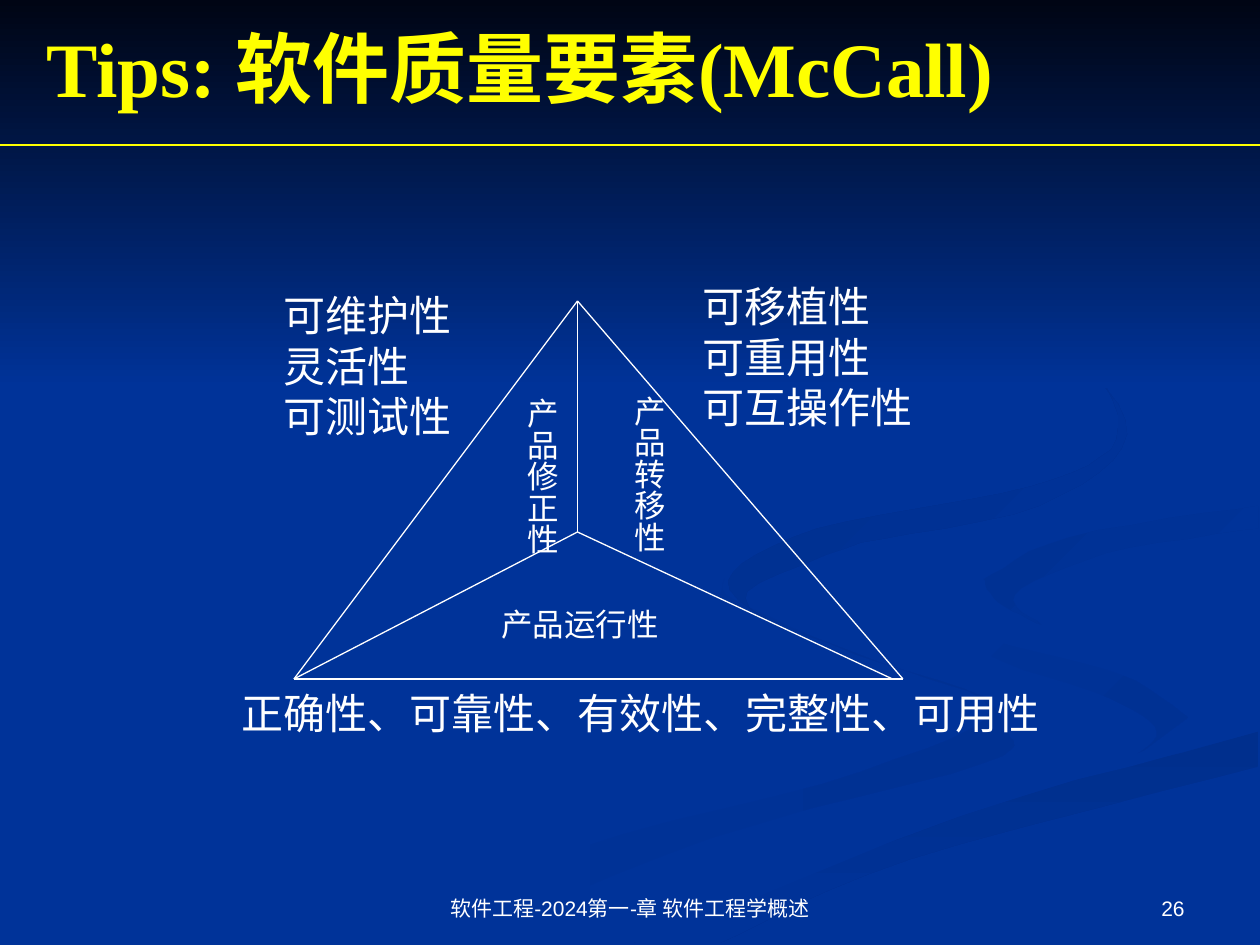
from lxml import etree
from pptx import Presentation
from pptx.dml.color import RGBColor
from pptx.enum.shapes import MSO_CONNECTOR, MSO_SHAPE
from pptx.enum.text import MSO_ANCHOR, PP_ALIGN
from pptx.oxml.ns import qn
from pptx.util import Pt

WIDTH, HEIGHT = 720, 540

THEME = {
    "blue": "003399", "night": "000514", "title": "FFFF00", "text": "FFFFFF",
    "shade": "003193", "deep": "002F8D",
    "title_font": "Times New Roman", "body_font": "Cabin", "footer_font": "Arial",
    "title_size": 44, "factor_size": 24, "side_size": 18, "footer_size": 12,
    "line": 0.75,
}

TITLE = "Tips: 软件质量要素(McCall)"
FOOTER = "软件工程-2024第一-章 软件工程学概述"
PAGE = "26"

# Triangle corners and the edges between them
APEX, CENTRE, LEFT, RIGHT, INNER_RIGHT = (330, 172), (330, 304), (168, 388), (516, 388), (510, 388)
EDGES = [(APEX, LEFT), (LEFT, RIGHT), (APEX, RIGHT),
         (APEX, CENTRE), (CENTRE, LEFT), (CENTRE, INNER_RIGHT)]

# Text, box (left, top, width, height), vertical
SIDES = [
    ("产品运行性", (279.4, 342, 104.4, 28.8), False),
    ("产品转移性", (349.2, 218.9, 36, 97.2), True),
    ("产品修正性", (288, 220.3, 36, 97.2), True),
]
FACTORS = [
    (["可维护性", "灵活性", "可测试性"], (154.8, 162, 110.2, 93.6)),
    (["可移植性", "可重用性", "可互操作性"], (394.6, 157, 134.6, 93.6)),
    (["正确性、可靠性、有效性、完整性、可用性"], (131, 389.5, 470.2, 36)),
]

# Background ribbons: first colour, last colour, clockwise angle, smooth edges
RIBBONS = [
    ("blue", "shade", 0, [
        [(562, 398), (491, 374), (420, 343), (414, 330)],
        [(411, 343), (489, 374), (566, 405), (492, 441), (330, 485), (216, 539)],
        [(260, 539), (406, 479), (562, 436), (576, 418), (562, 398)]]),
    ("blue", "shade", 45, [
        [(679, 410), (639, 385), (557, 362), (521, 334)],
        [(521, 334), (562, 373), (634, 399), (661, 418), (644, 436)]]),
    ("deep", "blue", 90, [
        [(411, 539), (520, 491), (719, 438)],
        [(719, 418), (550, 466), (362, 539)]]),
    ("blue", "blue", 0, [
        [(522, 334), (546, 359), (652, 389), (679, 410), (626, 440), (477, 481), (343, 539)],
        [(374, 538), (550, 466), (719, 418)],
        [(719, 387), (611, 362), (563, 333), (612, 307), (719, 289)],
        [(719, 279), (582, 300), (522, 334)]]),
    ("shade", "blue", 45, [
        [(562, 331), (570, 344), (595, 357)],
        [(595, 357), (580, 340), (632, 316), (719, 302)],
        [(719, 289), (611, 307), (562, 331)]]),
    ("deep", "blue", 45, [
        [(492, 310), (594, 289), (644, 248), (607, 198), (549, 168)],
        [(549, 168), (620, 206), (638, 251), (589, 278), (467, 302), (416, 332), (448, 360)],
        [(448, 360), (427, 338), (492, 310)]]),
]


def rgb(name):
    return RGBColor.from_string(THEME[name])


def smooth(edge, steps=6):
    """Return points on a Catmull-Rom curve through the points of an edge."""
    ends = [edge[0], *edge, edge[-1]]
    curve = [edge[0]]
    for knots in zip(ends, ends[1:], ends[2:], ends[3:]):
        for step in range(1, steps + 1):
            t = step / steps
            curve.append(tuple(
                b + t * (c - a) / 2 + t ** 2 * (2 * a - 5 * b + 4 * c - d) / 2
                + t ** 3 * (3 * b - a - 3 * c + d) / 2
                for a, b, c, d in zip(*knots)))
    return curve


def paint(sp, first, last, angle):
    """Fill a shape with one colour, or a gradient at a clockwise angle."""
    sp.shadow.inherit = False
    sp.line.fill.background()
    if first == last:
        sp.fill.solid()
        sp.fill.fore_color.rgb = rgb(first)
        return
    sp.fill.gradient()
    sp.fill.gradient_angle = (360 - angle) % 360
    for stop, color in zip(sp.fill.gradient_stops, (first, last)):
        stop.color.rgb = rgb(color)


def add_ribbon(s, first, last, angle, edges):
    points = [point for edge in edges for point in smooth(edge)]
    builder = s.shapes.build_freeform(*points[0], scale=Pt(1))
    builder.add_line_segments(points[1:], close=True)
    paint(builder.convert_to_shape(), first, last, angle)


def add_line(s, start, end, color):
    ln = s.shapes.add_connector(MSO_CONNECTOR.STRAIGHT, *map(Pt, start + end))
    ln.line.color.rgb = rgb(color)
    ln.line.width = Pt(THEME["line"])
    etree.SubElement(ln._element.spPr, qn("a:effectLst"))


def add_text(s, lines, box, size, font, color="text", align=PP_ALIGN.LEFT,
             anchor=MSO_ANCHOR.TOP, wrap=False, bold=False, vertical=False):
    tf = s.shapes.add_textbox(*map(Pt, box)).text_frame
    tf.word_wrap = wrap
    tf.vertical_anchor = anchor
    if vertical:
        tf._txBody.bodyPr.set("vert", "eaVert")
    for i, line in enumerate(lines):
        p = tf.add_paragraph() if i else tf.paragraphs[0]
        p.alignment = align
        r = p.add_run()
        r.text = line
        r.font.name = THEME[font]
        r.font.size = Pt(THEME[size])
        r.font.bold = bold
        r.font.color.rgb = rgb(color)


def main():
    prs = Presentation()
    prs.slide_width, prs.slide_height = Pt(WIDTH), Pt(HEIGHT)
    s = prs.slides.add_slide(prs.slide_layouts[6])
    s.background.fill.solid()
    s.background.fill.fore_color.rgb = rgb("blue")

    for ribbon in RIBBONS:
        add_ribbon(s, *ribbon)
    sky = s.shapes.add_shape(MSO_SHAPE.RECTANGLE, 0, 0, Pt(WIDTH), Pt(221.8))
    paint(sky, "night", "blue", 90)

    for text, left, width, align in [(PAGE, 516, 168, PP_ALIGN.RIGHT),
                                     (FOOTER, 246, 228, PP_ALIGN.CENTER)]:
        add_text(s, [text], (left, 492, width, 37.5), "footer_size", "footer_font",
                 align=align, anchor=MSO_ANCHOR.BOTTOM, wrap=True)
    add_text(s, [TITLE], (19.5, 9.4, 648, 57), "title_size", "title_font", "title",
             anchor=MSO_ANCHOR.MIDDLE, wrap=True, bold=True)
    add_line(s, (0, 82.8), (WIDTH, 82.8), "title")

    for start, end in EDGES:
        add_line(s, start, end, "text")
    for text, box, vertical in SIDES:
        add_text(s, [text], box, "side_size", "body_font", vertical=vertical)
    for lines, box in FACTORS:
        add_text(s, lines, box, "factor_size", "body_font")
    prs.save("out.pptx")


if __name__ == "__main__":
    main()
